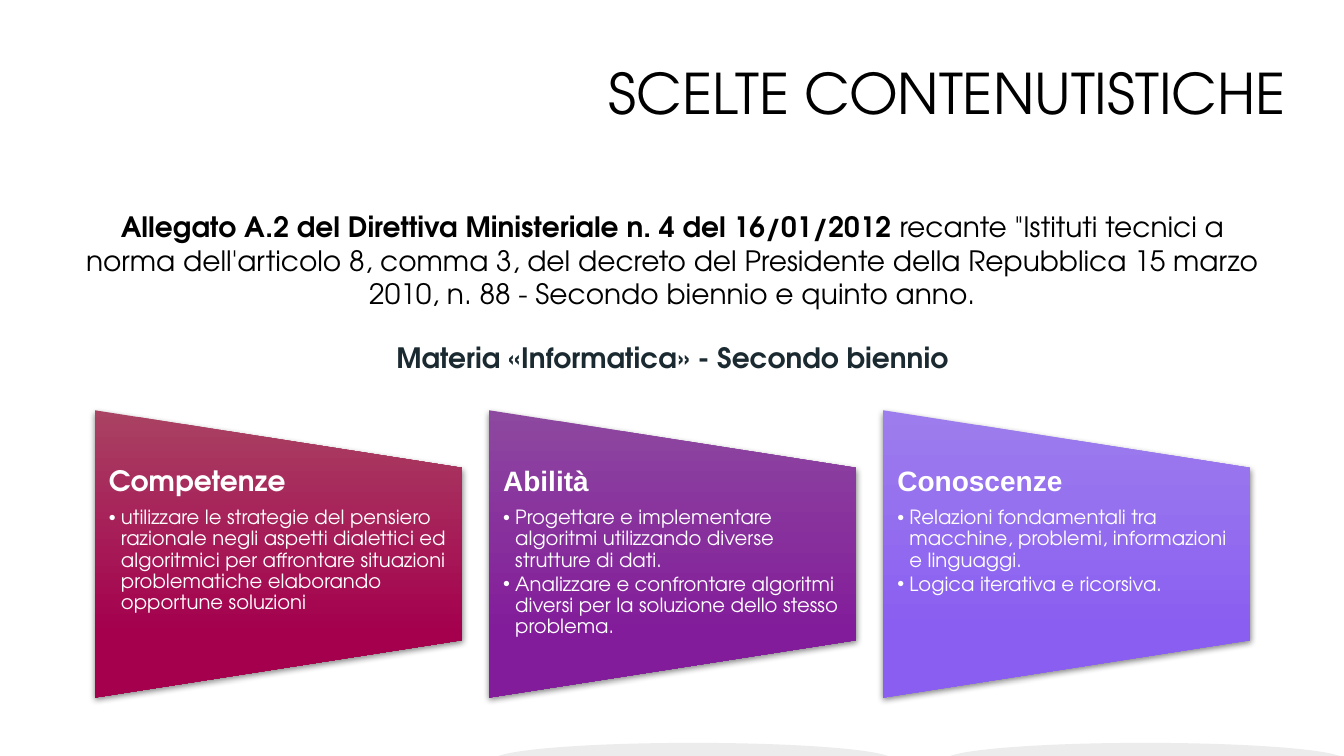
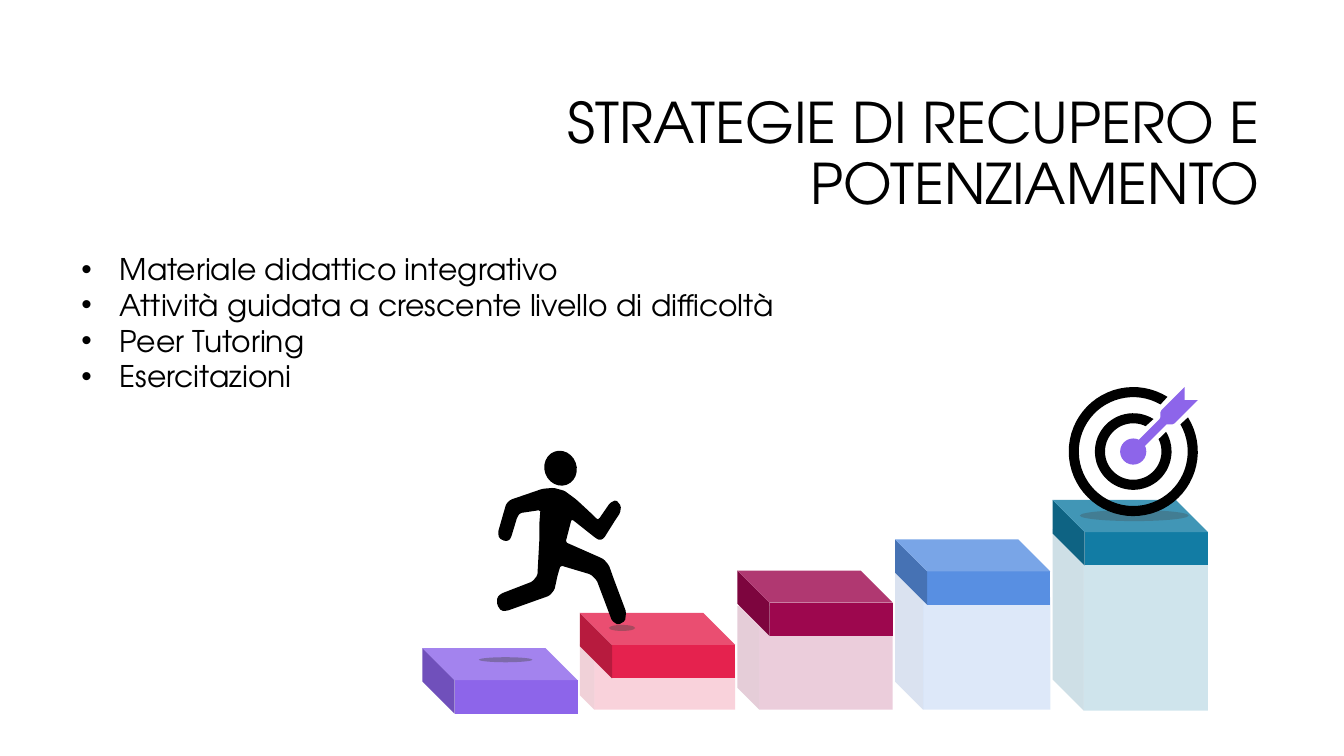
import math

from lxml import etree
from pptx import Presentation
from pptx.dml.color import RGBColor
from pptx.enum.shapes import MSO_SHAPE
from pptx.enum.text import MSO_ANCHOR, PP_ALIGN
from pptx.oxml.ns import qn
from pptx.util import Inches, Pt

FONT = "TeX Gyre Adventor"
BLACK, WHITE, SHADE, INK = "000000", "FFFFFF", "454545", "1A2A30"
VIOLET = "8D65EA"

DIRECTIVE = [
    ("Allegato A.2 del Direttiva Ministeriale n. 4 del 16/01/2012 ", True),
    ("recante \"Istituti tecnici a norma dell'articolo 8, comma 3, del decreto del Presidente "
     "della Repubblica 15 marzo 2010, n. 88 - Secondo biennio e quinto anno.", False),
]
SUBJECT = "Materia «Informatica» - Secondo biennio"
CARDS = [
    ("Competenze", FONT, ("A94263", "A4004E"), [
        "utilizzare le strategie del pensiero razionale negli aspetti dialettici ed algoritmici "
        "per affrontare situazioni problematiche elaborando opportune soluzioni"]),
    ("Abilità", "Arial", ("8D48A0", "831C9A"), [
        "Progettare e implementare algoritmi utilizzando diverse strutture di dati.",
        "Analizzare e confrontare algoritmi diversi per la soluzione dello stesso problema."]),
    ("Conoscenze", "Arial", ("9D7DED", "8A5EF1"), [
        "Relazioni fondamentali tra macchine, problemi, informazioni e linguaggi.",
        "Logica iterativa e ricorsiva."]),
]
STRATEGIES = [
    "Materiale didattico integrativo",
    "Attività guidata a crescente livello di difficoltà",
    "Peer Tutoring",
    "Esercitazioni",
]
# Colour, top of the lid, and top, height and depth ratio of the pale pedestal
STEPS = [
    (VIOLET, 6.43, None),
    ("E5224E", 6.08, (6.39, 0.65, 0.22)),
    ("9D074E", 5.66, (6.01, 1.03, 0.21)),
    ("588FE2", 5.35, (5.65, 1.39, 0.2)),
    ("127CA4", 4.96, (5.25, 1.8, 0.2)),
]
STEP_SHADOWS = [(4.75, 6.52, 0.53, 0.05, 40), (6.04, 6.2, 0.26, 0.06, 40),
                (10.71, 5.06, 1.08, 0.11, 30)]
RUNNER = [
    (5.36, 5.06), (5.23, 5.08), (5.16, 5.09), (5.13, 5.13), (5.07, 5.33), (5.05, 5.36),
    (5.01, 5.37), (4.95, 5.34), (4.94, 5.28), (5.02, 5), (5.06, 4.96), (5.38, 4.85),
    (5.49, 4.84), (5.6, 4.87), (5.72, 4.96), (5.85, 5.08), (5.92, 5.15), (5.94, 5.15),
    (6.05, 4.99), (6.11, 4.96), (6.16, 5.02), (6.15, 5.09), (6.09, 5.18), (5.99, 5.34),
    (5.95, 5.36), (5.91, 5.34), (5.67, 5.15), (5.61, 5.38), (5.95, 5.53), (5.99, 5.55),
    (6.04, 5.61), (6.09, 5.75), (6.21, 6.07), (6.2, 6.16), (6.13, 6.2), (6.07, 6.16),
    (5.92, 5.76), (5.86, 5.7), (5.56, 5.61), (5.53, 5.71), (5.5, 5.85), (5.45, 5.91),
    (5.03, 6.06), (4.97, 6.06), (4.93, 6), (4.93, 5.93), (4.97, 5.89), (5.28, 5.77),
    (5.33, 5.71), (5.34, 5.53), (5.35, 5.35), (5.35, 5.19),
]
TARGET = (11.24, 4.48)
# Radius and the two gap angles, for the outer and the inner edge of each ring
RINGS = [((0.64, 32, 58), (0.54, 30, 60)), ((0.38, 31, 58), (0.28, 26, 64))]
ARROW = [
    (11.75, 3.84), (11.75, 3.97), (11.88, 3.97), (11.65, 4.2), (11.63, 4.21), (11.57, 4.21),
    (11.36, 4.42), (11.27, 4.51), (11.21, 4.45), (11.3, 4.36), (11.5, 4.16), (11.51, 4.14),
    (11.51, 4.09), (11.52, 4.07),
]


def color(value):
    return RGBColor.from_string(value)


def paint(shape, fill, opacity=100):
    shape.shadow.inherit = False
    shape.line.fill.background()
    shape.fill.solid()
    shape.fill.fore_color.rgb = color(fill)
    if opacity < 100:
        srgb = shape.element.spPr.find(qn("a:solidFill"))[0]
        etree.SubElement(srgb, qn("a:alpha"), val=str(opacity * 1000))


def add_preset(slide, preset, box, fill, opacity=100):
    shape = slide.shapes.add_shape(preset, *map(Inches, box))
    paint(shape, fill, opacity)
    return shape


def add_outline(slide, points, fill):
    start, *others = [(Inches(x), Inches(y)) for x, y in points]
    builder = slide.shapes.build_freeform(*start)
    builder.add_line_segments(others, close=True)
    paint(builder.convert_to_shape(), fill)


def add_text_frame(slide, box, wrap=True):
    frame = slide.shapes.add_textbox(*map(Inches, box)).text_frame
    frame.word_wrap = wrap
    return frame


def add_run(paragraph, words, size, fill=BLACK, bold=False, font=FONT):
    run = paragraph.add_run()
    run.text = words
    run.font.name = font
    run.font.size = Pt(size)
    run.font.bold = bold
    run.font.color.rgb = color(fill)


def add_bullet(paragraph, indent):
    properties = paragraph._p.get_or_add_pPr()
    properties.set("marL", str(Inches(indent)))
    properties.set("indent", str(-Inches(indent)))
    etree.SubElement(properties, qn("a:buFont"), typeface="Arial")
    etree.SubElement(properties, qn("a:buChar"), char="•")


def add_title(slide, words, box):
    frame = add_text_frame(slide, box)
    frame.vertical_anchor = MSO_ANCHOR.MIDDLE
    paragraph = frame.paragraphs[0]
    paragraph.alignment = PP_ALIGN.RIGHT
    paragraph.line_spacing = 0.9
    add_run(paragraph, words, 40)


def add_card_panel(slide, box, stops):
    """Draw a trapezoid with its long side on the left, shaded from top to bottom."""
    left, top, width, height = box
    inset = (width - height) / 2
    panel = add_preset(slide, MSO_SHAPE.FLOWCHART_MANUAL_OPERATION,
                       (left + inset, top - inset, height, width), stops[1])
    panel.rotation = 270
    panel.fill.gradient()
    panel.fill.gradient_angle = 270
    for stop, position, value in zip(panel.fill.gradient_stops, (0, 0.78), stops):
        stop.position = position
        stop.color.rgb = color(value)
    properties = panel.element.spPr
    properties.find(qn("a:gradFill")).set("rotWithShape", "0")
    shadow = etree.SubElement(properties.find(qn("a:effectLst")), qn("a:outerShdw"),
                              blurRad=str(Pt(4.5)), dist=str(Pt(1.5)), dir="5400000",
                              rotWithShape="0")
    srgb = etree.SubElement(shadow, qn("a:srgbClr"), val=BLACK)
    etree.SubElement(srgb, qn("a:alpha"), val="48000")


def add_card(slide, left, heading, font, stops, items):
    add_card_panel(slide, (left, 4.07, 3.64, 2.85), stops)
    frame = add_text_frame(slide, (left, 4.64, 3.64, 1.71))
    frame.margin_left = frame.margin_right = Inches(0.14)
    frame.margin_top = frame.margin_bottom = 0
    paragraph = frame.paragraphs[0]
    paragraph.line_spacing = 0.9
    paragraph.space_after = Pt(7)
    add_run(paragraph, heading, 20, WHITE, True, font)
    for item in items:
        paragraph = frame.add_paragraph()
        add_bullet(paragraph, 0.12)
        paragraph.line_spacing = 0.9
        paragraph.space_after = Pt(2)
        add_run(paragraph, item, 14, WHITE)


def add_cube(slide, box, depth, fill, opacity=100):
    cube = add_preset(slide, MSO_SHAPE.CUBE, box, fill, opacity)
    cube.adjustments[0] = depth
    cube.element.spPr.find(qn("a:xfrm")).set("flipH", "1")


def arc(radius, start, end):
    """Return points round the target, with angles in degrees counted anticlockwise."""
    count = 60
    angles = [math.radians(start + (end - start) * i / count) for i in range(count + 1)]
    return [(TARGET[0] + radius * math.cos(a), TARGET[1] - radius * math.sin(a)) for a in angles]


def soften(points, cut=0.015):
    """Bevel each corner of an outline by a small cut."""
    softened = []
    for i, corner in enumerate(points):
        for neighbour in (points[i - 1], points[(i + 1) % len(points)]):
            share = min(0.25, cut / math.dist(corner, neighbour))
            softened.append(tuple(c + (n - c) * share for c, n in zip(corner, neighbour)))
    return softened


def build_contents(slide):
    for left in (4.9, 9.38):
        add_preset(slide, MSO_SHAPE.OVAL, (left, 7.37, 3.95, 0.33), SHADE, 10)
    frame = add_text_frame(slide, (0.65, 2.03, 12.04, 1.75))
    paragraph = frame.paragraphs[0]
    paragraph.alignment = PP_ALIGN.CENTER
    for words, bold in DIRECTIVE:
        add_run(paragraph, words, 20, bold=bold)
    paragraph = frame.add_paragraph()
    paragraph.alignment = PP_ALIGN.CENTER
    paragraph.line_spacing = 0.9
    paragraph.space_before = Pt(24)
    add_run(paragraph, SUBJECT, 20, INK, True)
    for i, card in enumerate(CARDS):
        add_card(slide, 0.94 + 3.91 * i, *card)
    add_title(slide, "SCELTE CONTENUTISTICHE", (3.43, 0.58, 9.42, 0.76))


def build_strategies(slide):
    lefts = [4.19 + 1.5625 * i for i in range(len(STEPS))]
    for left, (fill, _, pedestal) in zip(lefts, STEPS):
        if pedestal:
            top, height, depth = pedestal
            add_cube(slide, (left, top, 1.54, height), depth, fill, 20)
    for left, (fill, top, _) in zip(lefts, STEPS):
        add_cube(slide, (left, top, 1.54, 0.65), 0.49, fill)
    for *box, opacity in STEP_SHADOWS:
        add_preset(slide, MSO_SHAPE.OVAL, box, SHADE, opacity)
    for (outer, outer_from, outer_to), (inner, inner_from, inner_to) in RINGS:
        ring = arc(outer, outer_to, outer_from + 360) + arc(inner, inner_from + 360, inner_to)
        add_outline(slide, ring, BLACK)
    bull = 0.13
    add_preset(slide, MSO_SHAPE.OVAL, (TARGET[0] - bull, TARGET[1] - bull, 2 * bull, 2 * bull),
               VIOLET)
    add_outline(slide, ARROW, VIOLET)
    add_outline(slide, soften(RUNNER), BLACK)
    head = add_preset(slide, MSO_SHAPE.OVAL, (5.4, 4.47, 0.32, 0.35), BLACK)
    head.rotation = 340
    frame = add_text_frame(slide, (0.71, 2.44, 7.41, 1.9), wrap=False)
    for i, strategy in enumerate(STRATEGIES):
        paragraph = frame.add_paragraph() if i else frame.paragraphs[0]
        add_bullet(paragraph, 0.38)
        add_run(paragraph, strategy, 21.3)
    add_title(slide, "STRATEGIE DI RECUPERO E POTENZIAMENTO", (3.17, 0.84, 9.42, 1.41))


def main():
    presentation = Presentation()
    presentation.slide_width = Inches(13.33)
    presentation.slide_height = Inches(7.5)
    for build in (build_contents, build_strategies):
        build(presentation.slides.add_slide(presentation.slide_layouts[6]))
    presentation.save("out.pptx")


if __name__ == "__main__":
    main()
